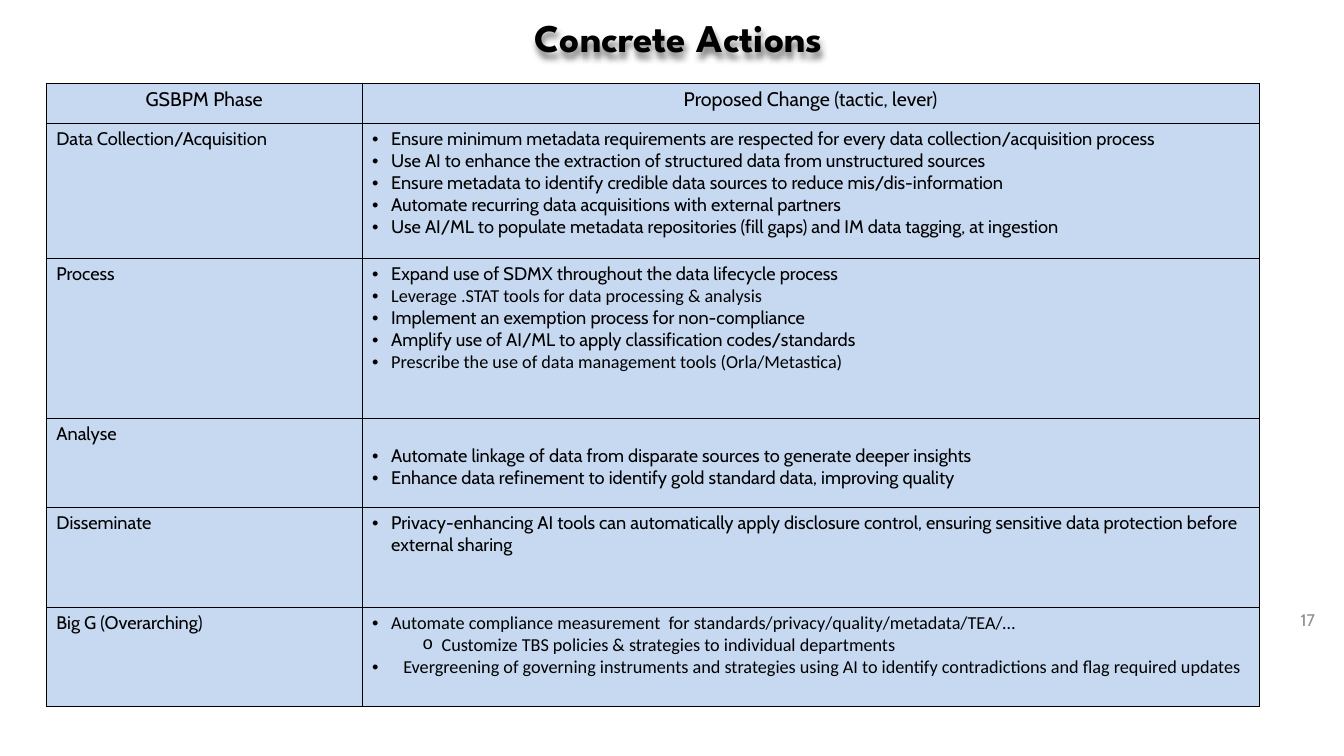
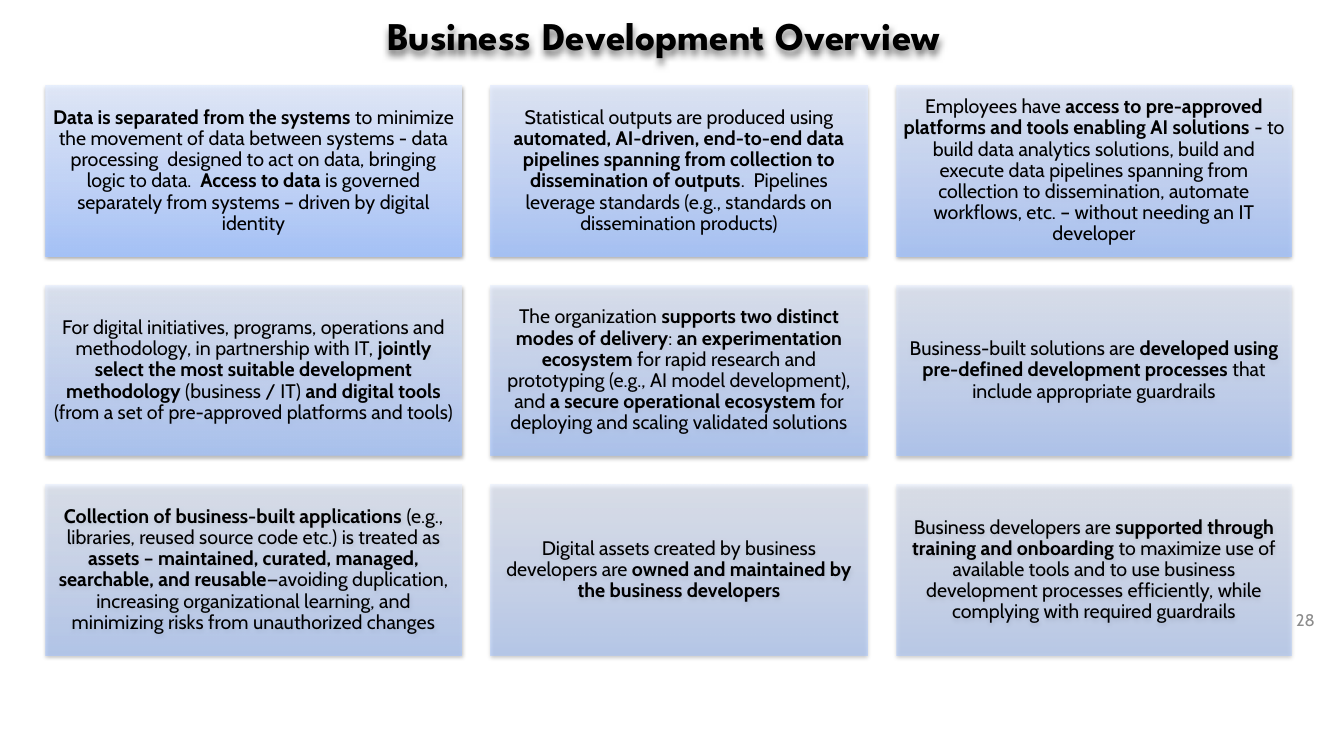
from itertools import accumulate

from lxml import etree
from pptx import Presentation
from pptx.dml.color import RGBColor
from pptx.enum.shapes import MSO_SHAPE
from pptx.enum.text import MSO_ANCHOR as Anchor, PP_ALIGN as Align
from pptx.oxml import parse_xml
from pptx.oxml.ns import nsdecls, qn
from pptx.util import Inches, Pt

SLIDE_WIDTH, SLIDE_HEIGHT = 13.33, 7.5
COLORS = {
    "text": "000000",
    "number": "8C8C8C",
    "cell": "C6D9F1",
    "border": "000000",
    "shadow": "000000",
}
CARD_STOPS = [(0, "A4C4FF"), (35, "BFD4FF"), (100, "E6EEFF")]
BODY, PLAIN, TITLE = "Cabin", "Calibri", "League Spartan"
BULLET_FONTS = {"•": "Arial", "o": "Courier New"}
NUMBER_BOX = (12.42, 5.95, 0.72, 0.4)

# Bullet items: (text, font, level, left indent, hanging indent)
HANG = 0.19


def item(text, font=BODY, level=0, left=HANG, hang=HANG):
    return text, font, level, left, hang


ACTIONS = [
    ("Data Collection/Acquisition", [
        item("Ensure minimum metadata requirements are respected for every data collection/acquisition process"),
        item("Use AI to enhance the extraction of structured data from unstructured sources"),
        item("Ensure metadata to identify credible data sources to reduce mis/dis-information"),
        item("Automate recurring data acquisitions with external partners"),
        item("Use AI/ML to populate metadata repositories (fill gaps) and IM data tagging, at ingestion"),
    ]),
    ("Process", [
        item("Expand use of SDMX throughout the data lifecycle process"),
        item("Leverage .STAT tools for data processing & analysis", PLAIN),
        item("Implement an exemption process for non-compliance"),
        item("Amplify use of AI/ML to apply classification codes/standards"),
        item("Prescribe the use of data management tools (Orla/Metastica)", PLAIN),
    ]),
    ("Analyse", [
        item("Automate linkage of data from disparate sources to generate deeper insights"),
        item("Enhance data refinement to identify gold standard data, improving quality"),
    ]),
    ("Disseminate", [
        item("Privacy-enhancing AI tools can automatically apply disclosure control, "
             "ensuring sensitive data protection before external sharing"),
    ]),
    ("Big G (Overarching)", [
        item("Automate compliance measurement  for standards/privacy/quality/metadata/TEA/…", PLAIN),
        item("Customize TBS policies & strategies to individual departments", PLAIN, 1, 0.69),
        item("Evergreening of governing instruments and strategies using AI to identify "
             "contradictions and flag required updates", PLAIN, 0, 0.31, 0.31),
    ]),
]

# Text between double asterisks is bold.
CARDS = [
    "**Data is separated from the systems **to minimize the movement of data between systems - "
    "data processing  designed to act on data, bringing logic to data.  **Access to data **"
    "is governed separately from systems – driven by digital identity",
    "Statistical outputs are produced using **automated, AI-driven, end-to-end data pipelines "
    "spanning from collection to dissemination of outputs**.  Pipelines leverage standards "
    "(e.g., standards on dissemination products)",
    "Employees have **access to pre-approved platforms and tools enabling AI solutions **- to build "
    "data analytics solutions, build and execute data pipelines spanning from collection to "
    "dissemination, automate workflows, etc. – without needing an IT developer",
    "For digital initiatives, programs, operations and methodology, in partnership with IT, "
    "**jointly select the most suitable development methodology **(business / IT) "
    "**and digital tools** (from a set of pre-approved platforms and tools)",
    "The organization **supports two distinct modes of delivery**: **an experimentation ecosystem **"
    "for rapid research and prototyping (e.g., AI model development), and "
    "**a secure operational ecosystem **for deploying and scaling validated solutions",
    "Business-built solutions are **developed using pre-defined development processes **"
    "that include appropriate guardrails",
    "**Collection of business-built applications** (e.g., libraries, reused source code etc.) is "
    "treated as **assets – maintained, curated, managed, searchable, and reusable**—avoiding "
    "duplication, increasing organizational learning, and minimizing risks from unauthorized changes",
    "Digital assets created by business developers are "
    "**owned and maintained by the business developers**",
    "Business developers are **supported through training and onboarding **to maximize use of "
    "available tools and to use business development processes efficiently, while complying "
    "with required guardrails",
]


def inches(box):
    return [Inches(length) for length in box]


def style(font, name, size, color="text", bold=False):
    font.name, font.size, font.bold = name, Pt(size), bold
    font.color.rgb = RGBColor.from_string(COLORS[color])


def add_shadow(shape, blur, distance, opacity):
    """Cast a soft shadow straight down; blur and distance in points."""
    shape._element.spPr.append(parse_xml(
        f'<a:effectLst {nsdecls("a")}><a:outerShdw blurRad="{Pt(blur)}" dist="{Pt(distance)}" '
        f'dir="5400000" rotWithShape="0"><a:srgbClr val="{COLORS["shadow"]}">'
        f'<a:alpha val="{opacity * 1000}"/></a:srgbClr></a:outerShdw></a:effectLst>'))


def add_text(slide, box, text, align):
    shape = slide.shapes.add_textbox(*inches(box))
    shape.text_frame.word_wrap = True
    shape.text_frame.text = text
    paragraph = shape.text_frame.paragraphs[0]
    paragraph.alignment = align
    return shape, paragraph


def add_frame(slide, title, title_box, number):
    """Place the title and page number found on every slide."""
    shape, paragraph = add_text(slide, title_box, title, Align.CENTER)
    paragraph.line_spacing = 0.9
    style(paragraph.runs[0].font, TITLE, 28, bold=True)
    add_shadow(shape, 4, 3, 50)
    shape, paragraph = add_text(slide, NUMBER_BOX, number, Align.RIGHT)
    shape.text_frame.vertical_anchor = Anchor.MIDDLE
    style(paragraph.runs[0].font, BODY, 12, "number")


def add_bullet(paragraph, left, hang, mark):
    properties = paragraph._p.get_or_add_pPr()
    properties.set("marL", str(Inches(left)))
    properties.set("indent", str(-Inches(hang)))
    etree.SubElement(properties, qn("a:buFont"), typeface=BULLET_FONTS[mark])
    etree.SubElement(properties, qn("a:buChar"), char=mark)


def format_cell(cell):
    """Give a cell its thin borders and flat fill."""
    properties = cell._tc.get_or_add_tcPr()
    for side in ("lnL", "lnR", "lnT", "lnB"):
        properties.append(parse_xml(
            f'<a:{side} {nsdecls("a")} w="{Pt(0.25)}"><a:solidFill>'
            f'<a:srgbClr val="{COLORS["border"]}"/></a:solidFill></a:{side}>'))
    cell.fill.solid()
    cell.fill.fore_color.rgb = RGBColor.from_string(COLORS["cell"])


def write_cell(cell, text, size, align=Align.LEFT):
    cell.text_frame.text = text
    paragraph = cell.text_frame.paragraphs[0]
    paragraph.alignment = align
    style(paragraph.runs[0].font, BODY, size)


def write_bullets(cell, items):
    frame = cell.text_frame
    frame.text = "\n".join(text for text, *_ in items)
    for paragraph, (_, font, level, left, hang) in zip(frame.paragraphs, items):
        paragraph.level = level
        add_bullet(paragraph, left, hang, "o" if level else "•")
        style(paragraph.runs[0].font, font, 13)


def add_actions_table(slide, box, columns, rows):
    table = slide.shapes.add_table(len(rows), len(columns), *inches(box)).table
    table.first_row = table.horz_banding = False
    for column, width in zip(table.columns, columns):
        column.width = Inches(width)
    for row, height in zip(table.rows, rows):
        row.height = Inches(height)
    for cell in table.iter_cells():
        format_cell(cell)
    for column, heading in enumerate(("GSBPM Phase", "Proposed Change (tactic, lever)")):
        write_cell(table.cell(0, column), heading, 14, Align.CENTER)
    for row, (phase, items) in enumerate(ACTIONS, start=1):
        write_cell(table.cell(row, 0), phase, 13)
        write_bullets(table.cell(row, 1), items)
        if phase == "Analyse":
            table.cell(row, 1).margin_top = Inches(0.27)


def add_card(slide, box, text, opacity):
    card = slide.shapes.add_shape(MSO_SHAPE.RECTANGLE, *inches(box))
    card.line.fill.background()
    stops = "".join(
        f'<a:gs pos="{position * 1000}"><a:srgbClr val="{color}">'
        f'<a:alpha val="{opacity * 1000}"/></a:srgbClr></a:gs>' for position, color in CARD_STOPS)
    card._element.spPr.find(qn("a:prstGeom")).addnext(parse_xml(
        f'<a:gradFill {nsdecls("a")} rotWithShape="1"><a:gsLst>{stops}</a:gsLst>'
        f'<a:lin ang="16200000" scaled="0"/></a:gradFill>'))
    add_shadow(card, 3.1, 1.6, 38)
    frame = card.text_frame
    frame.word_wrap = True
    frame.vertical_anchor = Anchor.MIDDLE
    frame.margin_left = frame.margin_right = frame.margin_top = frame.margin_bottom = Inches(0.06)
    paragraph = frame.paragraphs[0]
    paragraph.alignment = Align.CENTER
    paragraph.line_spacing = 0.9
    for index, part in enumerate(text.split("**")):
        if part:
            run = paragraph.add_run()
            run.text = part
            style(run.font, BODY, 14, bold=index % 2 == 1)


def add_card_grid(slide, left, top, widths, height, gap):
    """Fill the grid row by row, each card more transparent than the last."""
    lefts = list(accumulate((width + gap for width in widths), initial=left))
    for index, text in enumerate(CARDS):
        row, column = divmod(index, len(widths))
        box = (lefts[column], top + row * (height + gap), widths[column], height)
        add_card(slide, box, text, 90 - 5 * index)


def main():
    presentation = Presentation()
    presentation.slide_width = Inches(SLIDE_WIDTH)
    presentation.slide_height = Inches(SLIDE_HEIGHT)
    blank = presentation.slide_layouts[6]

    actions = presentation.slides.add_slide(blank)
    add_frame(actions, "Concrete Actions", (0.92, 0.14, 11.62, 0.59), "17")
    add_actions_table(actions, (0.46, 0.82, 12.03, 6.18),
                      (3.13, 8.9), (0.4, 1.34, 1.59, 0.88, 0.99, 0.99))

    overview = presentation.slides.add_slide(blank)
    add_card_grid(overview, 0.45, 0.85, (4.13, 3.73, 3.92), 1.69, 0.29)
    add_frame(overview, "Business Development Overview", (0.17, 0.12, 12.82, 0.63), "28")

    presentation.save("out.pptx")


if __name__ == "__main__":
    main()
